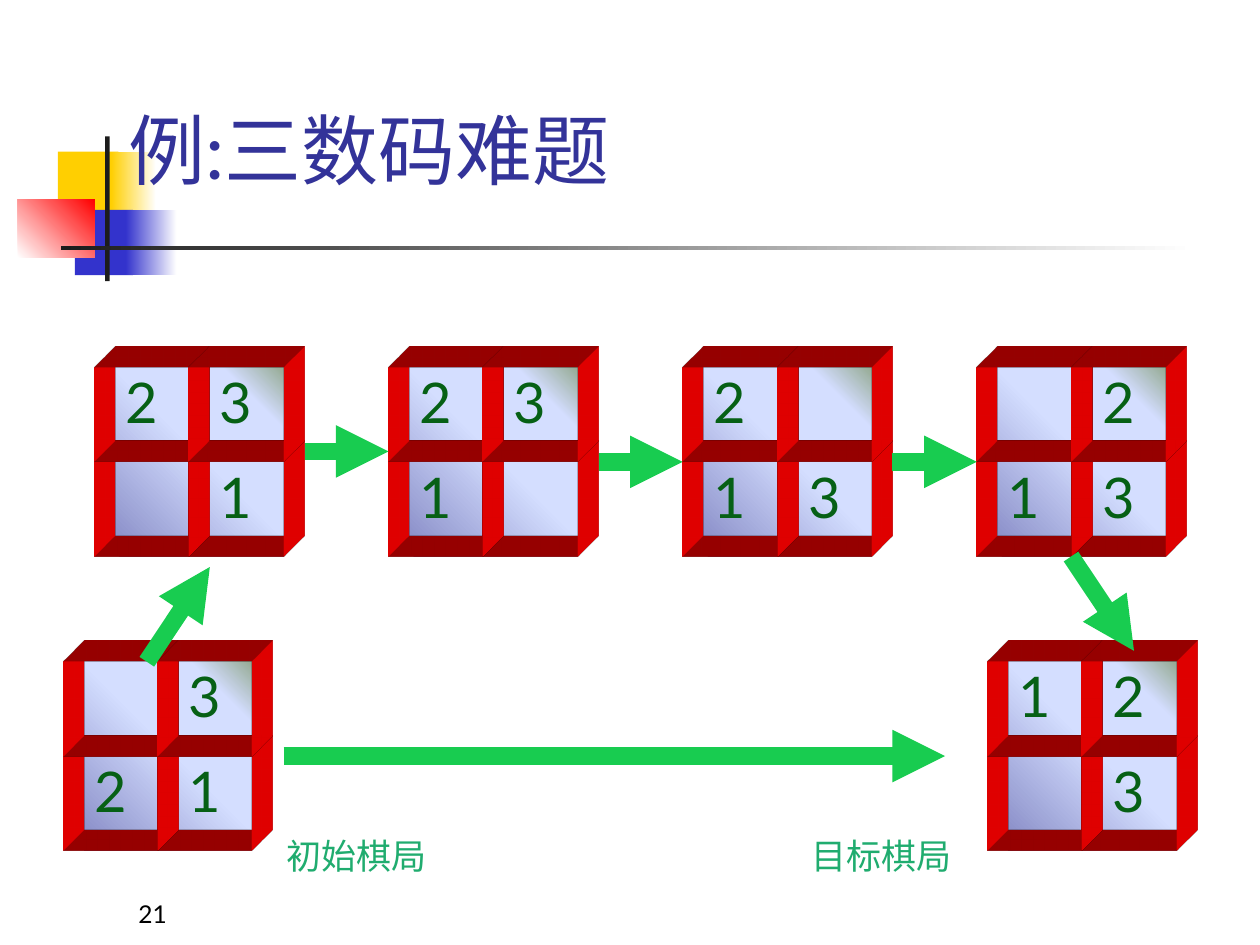
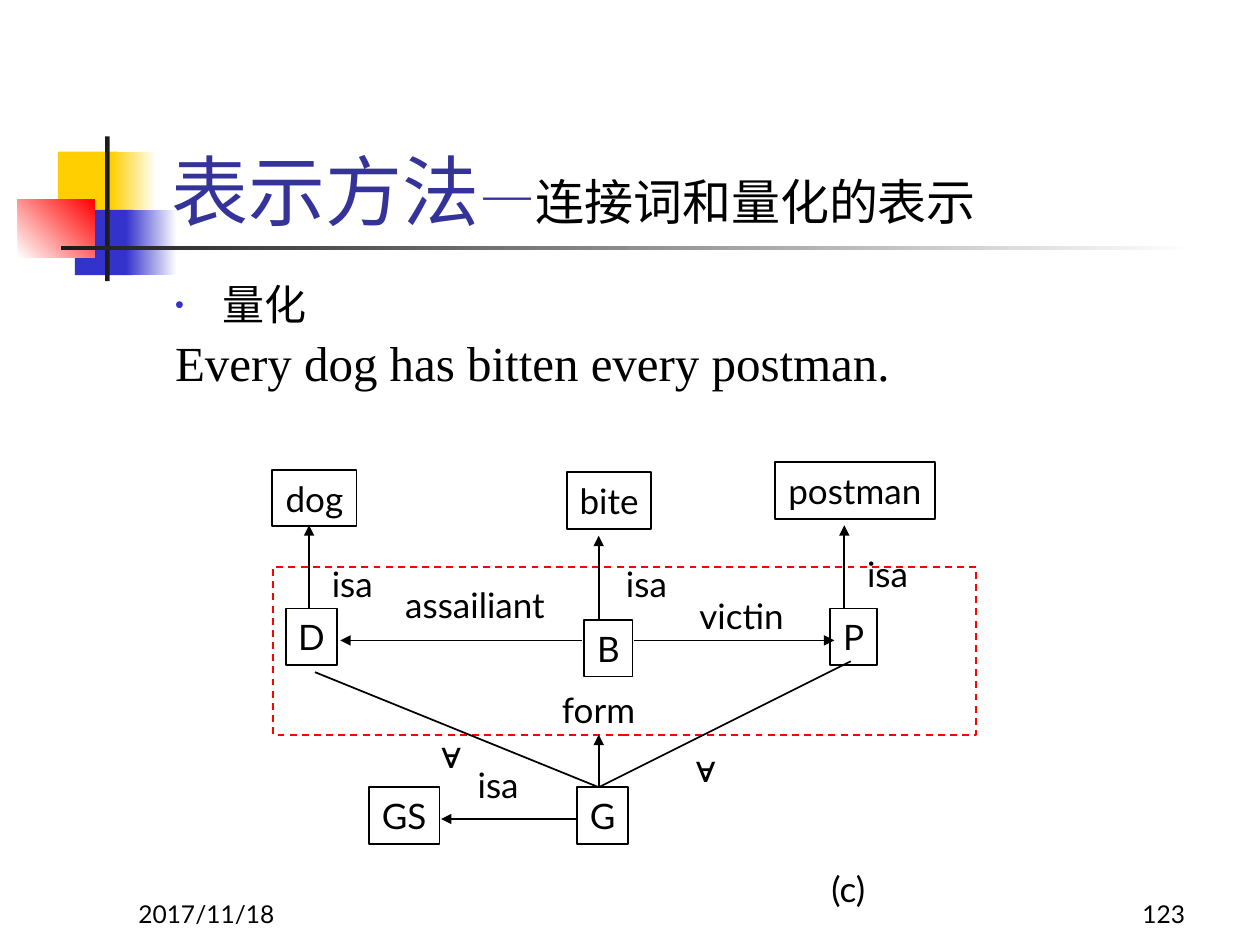
import pptx
import pptx.dml.color
import pptx.enum.dml
import pptx.enum.shapes
import pptx.enum.text
import pptx.oxml.ns
import pptx.util
from lxml import etree

Cm = pptx.util.Cm
Pt = pptx.util.Pt
qn = pptx.oxml.ns.qn
ALIGN = pptx.enum.text.PP_ALIGN
ANCHOR = pptx.enum.text.MSO_ANCHOR
RECTANGLE = pptx.enum.shapes.MSO_SHAPE.RECTANGLE

COLOURS = {
    "white": "FFFFFF", "black": "000000", "ink": "1C1C1C",
    "yellow": "FFCF01", "blue": "3333CC", "red": "FF0000",
    "title": "333399", "digit": "066015", "arrow": "18CC50",
    "caption": "20AC6F",
    "tile_dark": "8488C4", "tile": "D4DEFF", "tile_green": "96AB94",
}
FONT = "Lato"
SERIF = "Times New Roman"
CELL = 1.905       # side of one puzzle cell
EXTRUSION = 1.2    # depth of the frame around a cell


def rgb(name):
    return pptx.dml.color.RGBColor.from_string(COLOURS[name])


def lengths(*values):
    return [Cm(value) for value in values]


# Shared building parts

def add_element(parent, tag, **attributes):
    return etree.SubElement(parent, qn(tag), **attributes)


def fill_gradient(shape, stops, angle=0):
    shape.fill.gradient()
    shape.fill.gradient_angle = angle
    stop_list = shape._element.spPr.find(qn("a:gradFill")).find(qn("a:gsLst"))
    for stop in list(stop_list):
        stop_list.remove(stop)
    for position, name in stops:
        stop = add_element(stop_list, "a:gs", pos=str(position * 1000))
        add_element(stop, "a:srgbClr", val=COLOURS[name])


def add_rectangle(slide, box, fill=None, line=None, width=1, stops=None, angle=0):
    shape = slide.shapes.add_shape(RECTANGLE, *lengths(*box))
    shape.shadow.inherit = False
    if stops:
        fill_gradient(shape, stops, angle)
    elif fill:
        shape.fill.solid()
        shape.fill.fore_color.rgb = rgb(fill)
    else:
        shape.fill.background()
    if line:
        shape.line.color.rgb = rgb(line)
        shape.line.width = Pt(width)
    else:
        shape.line.fill.background()
    return shape


def extrude(shape, depth, colour):
    properties = shape._element.spPr
    scene = add_element(properties, "a:scene3d")
    add_element(scene, "a:camera", prst="legacyObliqueTopRight")
    add_element(scene, "a:lightRig", rig="legacyFlat3", dir="b")
    solid = add_element(properties, "a:sp3d", extrusionH=str(Cm(depth)),
                        prstMaterial="legacyMatte")
    for bevel in ("a:bevelT", "a:bevelB"):
        add_element(solid, bevel, w="13500", h="13500", prst="angle")
    extrusion = add_element(solid, "a:extrusionClr")
    add_element(extrusion, "a:srgbClr", val=COLOURS[colour])


def style_paragraph(paragraph, size, colour="black", name=FONT, align=ALIGN.LEFT):
    paragraph.alignment = align
    paragraph.font.size = Pt(size)
    paragraph.font.name = name
    paragraph.font.color.rgb = rgb(colour)


def write(shape, text, size, anchor=ANCHOR.TOP, wrap=True, **style):
    frame = shape.text_frame
    frame.word_wrap = wrap
    frame.vertical_anchor = anchor
    paragraph = frame.paragraphs[0]
    paragraph.text = text
    style_paragraph(paragraph, size, **style)


def add_text(slide, box, text, size, **options):
    write(slide.shapes.add_textbox(*lengths(*box)), text, size, **options)


def add_line(slide, start, end, colour="black", width=1, arrow=True):
    connector = slide.shapes.add_connector(
        pptx.enum.shapes.MSO_CONNECTOR.STRAIGHT, *lengths(*start, *end))
    connector.line.color.rgb = rgb(colour)
    connector.line.width = Pt(width)
    properties = connector._element.spPr
    if arrow:
        add_element(properties.find(qn("a:ln")), "a:tailEnd", type="triangle")
    add_element(properties, "a:effectLst")


def add_decoration(slide):
    # Coloured blocks behind the cross of two bars
    for left, top, solid, fade, colour in [
        (1.17, 3.06, 1.22, (2.24, 0.91), "yellow"),
        (1.51, 4.23, 1.17, (2.54, 1.02), "blue"),
    ]:
        add_rectangle(slide, (left, top, solid, 1.32), fill=colour)
        add_rectangle(slide, (fade[0], top, fade[1], 1.32),
                      stops=[(0, colour), (100, "white")])
    add_rectangle(slide, (0.36, 4.02, 1.55, 1.17),
                  stops=[(0, "white"), (100, "red")], angle=45)
    add_rectangle(slide, (2.12, 2.75, 0.09, 2.92), fill="ink")
    add_rectangle(slide, (1.23, 4.95, 22.86, 0.09),
                  stops=[(0, "ink"), (100, "white")])


def add_title(slide, box, parts):
    frame = slide.shapes.add_textbox(*lengths(*box)).text_frame
    frame.word_wrap = True
    frame.vertical_anchor = ANCHOR.BOTTOM
    paragraph = frame.paragraphs[0]
    paragraph.font.name = FONT
    for text, size, colour in parts:
        run = paragraph.add_run()
        run.text = text
        run.font.size = Pt(size)
        run.font.color.rgb = rgb(colour)


def add_footer(slide, left, text, align=ALIGN.LEFT):
    add_text(slide, (left, 17.58, 5.29, 1.27), text, 14,
             anchor=ANCHOR.BOTTOM, align=align)


# Puzzle slide

def add_cell(board, x, y, digit):
    cell = add_rectangle(board, (x, y, CELL, CELL), line="red", width=0.5)
    extrude(cell, EXTRUSION, "red")
    if digit != " ":
        frame = cell.text_frame
        frame.margin_left = frame.margin_right = 0
        frame.margin_top = frame.margin_bottom = 0
        write(cell, digit, 32, colour="digit", align=ALIGN.CENTER)


def add_board(slide, x, y, digits):
    board = slide.shapes.add_group_shape()
    side = 2 * CELL
    add_rectangle(
        board, (x + 0.42, y, side - 0.42, side), angle=45,
        stops=[(0, "tile_dark"), (53, "tile"), (83, "tile"), (100, "tile_green")])
    # Each cell covers the depth of the one before it
    for row, column in [(1, 1), (1, 0), (0, 0), (0, 1)]:
        add_cell(board, x + column * CELL, y + row * CELL, digits[2 * row + column])


def build_puzzle_slide(slide):
    add_decoration(slide)
    add_footer(slide, 2.54, "21")
    add_title(slide, (2.34, 1.52, 14.6, 2.54), [("例:三数码难题", 44, "title")])

    # Boards: four steps above, first and last state below
    add_board(slide, 1.27, 13.34, " 321")
    for step, digits in enumerate(["23 1", "231 ", "2 13", " 213"]):
        add_board(slide, 1.9 + 5.93 * step, 7.41, digits)
    add_board(slide, 19.9, 13.34, "12 3")

    for start, end in [
        ((5.72, 15.24), (19.05, 15.24)),
        ((2.96, 13.34), (4.23, 11.43)),
        ((21.59, 11.22), (22.86, 13.12)),
        ((6.14, 9.1), (7.83, 9.1)),
        ((17.99, 9.31), (19.69, 9.31)),
        ((12.07, 9.31), (13.76, 9.31)),
    ]:
        add_line(slide, start, end, "arrow", 10)

    for left, caption in [(5.08, "初始棋局"), (15.66, "目标棋局")]:
        add_text(slide, (left, 16.72, 4.23, 1.06), caption, 20, anchor=ANCHOR.MIDDLE,
                 wrap=False, colour="caption", name="Arial", align=ALIGN.CENTER)


# Semantic network slide

def add_body(slide, box):
    frame = slide.shapes.add_textbox(*lengths(*box)).text_frame
    frame.word_wrap = True
    topic = frame.paragraphs[0]
    topic.text = "量化"
    sentence = frame.add_paragraph()
    sentence.text = "Every dog has bitten every postman."
    for paragraph in (topic, sentence):
        properties = paragraph._p.get_or_add_pPr()
        properties.set("marL", str(Cm(0.95)))
        properties.set("indent", str(-Cm(0.95)))
    properties = topic._p.pPr
    colour = add_element(properties, "a:buClr")
    add_element(colour, "a:srgbClr", val=COLOURS["blue"])
    add_element(properties, "a:buSzPct", val="60000")
    add_element(properties, "a:buFont", typeface="Arial")
    add_element(properties, "a:buChar", char="•")
    for paragraph, size in [(topic, 24), (sentence, 28)]:
        paragraph.line_spacing = 0.9
        style_paragraph(paragraph, size, name=SERIF)
    sentence.space_before = Pt(5.6)


def add_node(slide, left, top, width, text):
    node = add_rectangle(slide, (left, top, width, 1.14), line="black")
    write(node, text, 20, anchor=ANCHOR.MIDDLE, wrap=False, align=ALIGN.CENTER)


def add_network(slide, x, y):
    def at(left, top):
        return x + left, y + top

    # Concepts and instances
    for text, left, top, width in [
        ("dog", 0, 0.15, 1.7), ("bite", 5.94, 0.2, 1.7),
        ("postman", 10.13, 0, 3.23), ("D", 0.28, 2.95, 1.02),
        ("B", 6.29, 3.18, 0.97), ("P", 11.25, 2.95, 0.94),
        ("GS", 1.95, 6.55, 1.42), ("G", 6.15, 6.55, 1.02),
    ]:
        add_node(slide, *at(left, top), width, text)

    # Dashed frame of the form
    form = add_rectangle(slide, (*at(0.02, 2.11), 14.17, 3.39), line="red")
    form.line.dash_style = pptx.enum.dml.MSO_LINE.DASH

    # Relations
    for start, end, width in [
        ((11.53, 2.95), (11.53, 1.27), 1), ((0.74, 2.95), (0.74, 1.27), 1.5),
        ((6.58, 3.18), (6.58, 1.48), 1), ((7.29, 3.59), (11.33, 3.59), 1),
        ((6.24, 3.59), (1.37, 3.59), 1), ((6.58, 6.55), (6.58, 5.49), 1),
        ((6.15, 7.19), (3.4, 7.19), 1),
    ]:
        add_line(slide, at(*start), at(*end), width=width)
    for end in [(11.66, 4.01), (0.86, 4.23)]:
        add_line(slide, at(6.58, 6.55), at(*end), arrow=False)

    # Relation names
    for text, left, top, width, name in [
        ("isa", 0.95, 1.9, 1.48, FONT), ("isa", 6.88, 1.9, 1.48, FONT),
        ("isa", 11.74, 1.69, 1.48, FONT), ("isa", 3.89, 5.94, 1.48, FONT),
        ("assailiant", 2.43, 2.31, 4.65, FONT), ("victin", 8.36, 2.54, 2.54, FONT),
        ("form", 5.59, 4.44, 2.2, FONT), ("(c)", 11.02, 8.04, 2.11, FONT),
        ("∀", 3.15, 5.34, 1.7, SERIF), ("∀", 8.28, 5.62, 1.7, SERIF),
    ]:
        add_text(slide, (*at(left, top), width, 1.09), text, 20, name=name)


def build_network_slide(slide):
    add_decoration(slide)
    add_footer(slide, 2.54, "2017/11/18")
    add_footer(slide, 18.85, "123", ALIGN.RIGHT)
    add_title(slide, (3.2, 1.72, 21.64, 3.17), [
        ("表示方法", 44, "title"), ("—", 32, "title"),
        ("连接词和量化的表示", 28, "black")])
    add_body(slide, (3.28, 5.61, 21.59, 2.64))
    add_network(slide, 5.49, 9.32)


def main():
    presentation = pptx.Presentation()
    presentation.slide_width = Cm(25.4)
    presentation.slide_height = Cm(19.05)
    for build in (build_puzzle_slide, build_network_slide):
        build(presentation.slides.add_slide(presentation.slide_layouts[6]))
    presentation.save("out.pptx")


if __name__ == "__main__":
    main()
